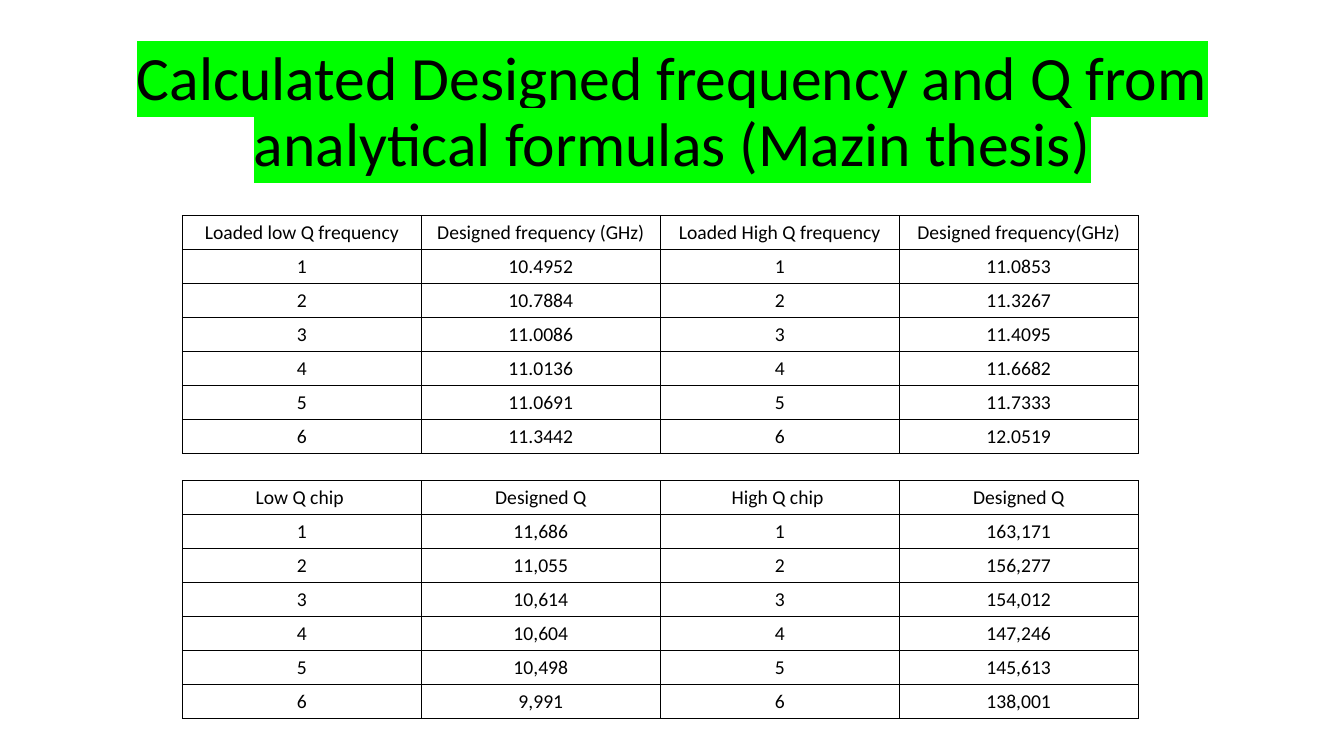
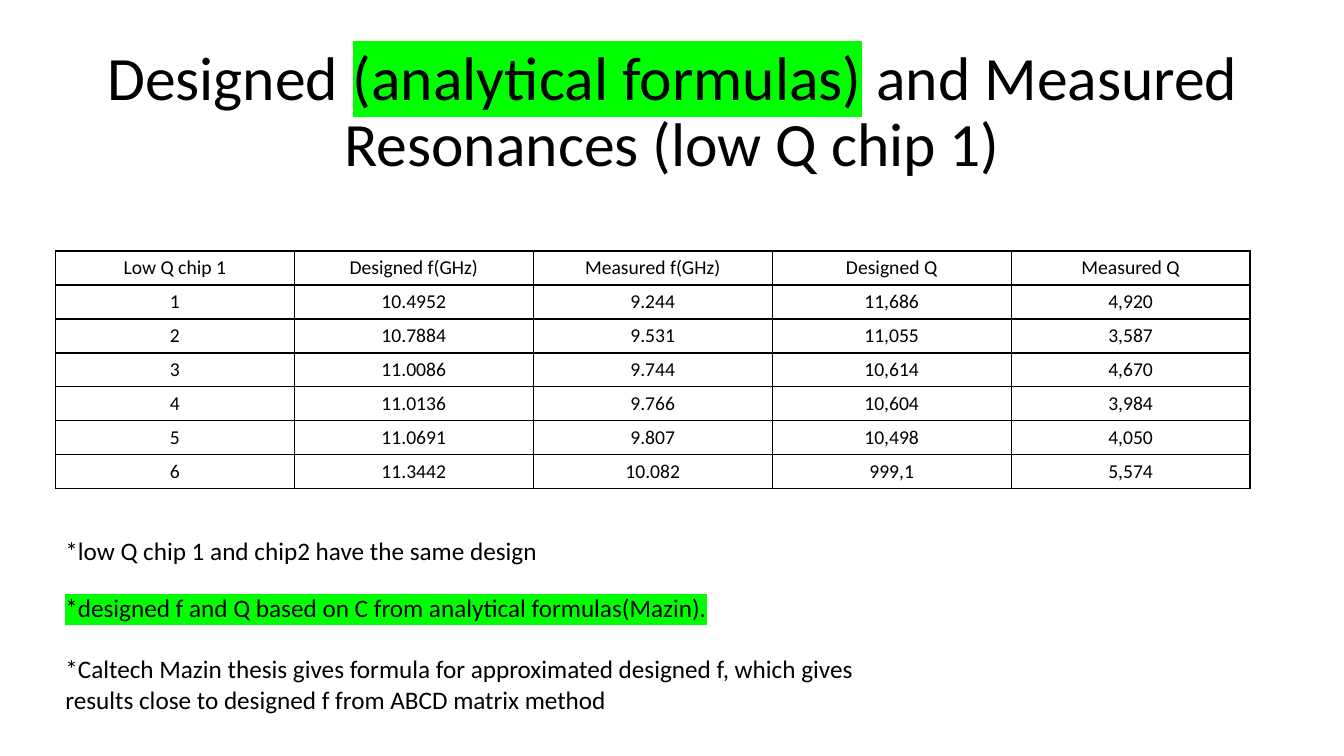
from dataclasses import dataclass

from lxml.etree import SubElement
from pptx import Presentation
from pptx.dml.color import RGBColor
from pptx.enum.text import MSO_ANCHOR, MSO_AUTO_SIZE, PP_ALIGN
from pptx.oxml.ns import qn
from pptx.util import Inches, Pt


@dataclass(frozen=True)
class Theme:
    font: str = "Calibri"
    ink: str = "000000"
    marker: str = "00FF00"
    title_size: int = 44
    note_size: int = 18
    cell_size: int = 14
    border: int = 1
    column: float = 2.37
    row: float = 0.33


THEME = Theme()
TITLE_BOX = (0.92, 0.4, 11.5, 1.45)
CHIPS = ["1", "2", "3", "4", "5", "6"]
LOW_FREQUENCY = ["10.4952", "10.7884", "11.0086", "11.0136", "11.0691", "11.3442"]
HIGH_FREQUENCY = ["11.0853", "11.3267", "11.4095", "11.6682", "11.7333", "12.0519"]
LOW_Q = ["11,686", "11,055", "10,614", "10,604", "10,498", "9,991"]
HIGH_Q = ["163,171", "156,277", "154,012", "147,246", "145,613", "138,001"]
MEASURED_FREQUENCY = ["9.244", "9.531", "9.744", "9.766", "9.807", "10.082"]
MEASURED_Q = ["4,920", "3,587", "4,670", "3,984", "4,050", "5,574"]


def add_run(paragraph, wording, size, marked=False):
    run = paragraph.add_run()
    run.text = wording
    run.font.size = Pt(size)
    run.font.color.rgb = RGBColor.from_string(THEME.ink)
    if marked:
        highlight = SubElement(run.font._element, qn("a:highlight"))
        SubElement(highlight, qn("a:srgbClr"), val=THEME.marker)
    run.font.name = THEME.font


def add_titled_slide(deck, title_runs):
    slide = deck.slides.add_slide(deck.slide_layouts[5])
    title = slide.shapes.title
    title.left, title.top, title.width, title.height = map(Inches, TITLE_BOX)
    frame = title.text_frame
    frame.word_wrap = True
    frame.auto_size = MSO_AUTO_SIZE.NONE
    frame.vertical_anchor = MSO_ANCHOR.MIDDLE
    heading = frame.paragraphs[0]
    heading.alignment = PP_ALIGN.CENTER
    heading.line_spacing = 0.9
    for wording, marked in title_runs:
        add_run(heading, wording, THEME.title_size, marked)
    return slide


def draw_borders(cell):
    properties = cell._tc.get_or_add_tcPr()
    for side in ("lnL", "lnR", "lnT", "lnB"):
        line = SubElement(properties, qn(f"a:{side}"), w=str(Pt(THEME.border)))
        fill = SubElement(line, qn("a:solidFill"))
        SubElement(fill, qn("a:srgbClr"), val=THEME.ink)


def add_results(slide, left, top, columns):
    records = list(zip(*([header, *values] for header, values in columns)))
    width, height = THEME.column * len(columns), THEME.row * len(records)
    results = slide.shapes.add_table(
        len(records), len(columns), *map(Inches, (left, top, width, height))
    ).table
    results.first_row = results.horz_banding = False
    for column in results.columns:
        column.width = Inches(THEME.column)
    for row, record in zip(results.rows, records):
        row.height = Inches(THEME.row)
        for cell, value in zip(row.cells, record):
            draw_borders(cell)
            cell.fill.background()
            entry = cell.text_frame.paragraphs[0]
            entry.alignment = PP_ALIGN.CENTER
            add_run(entry, value, THEME.cell_size)


def add_notes_block(slide, box, lines):
    frame = slide.shapes.add_textbox(*map(Inches, box)).text_frame
    frame.word_wrap = True
    frame.auto_size = MSO_AUTO_SIZE.SHAPE_TO_FIT_TEXT
    for index, (wording, marked, gap) in enumerate(lines):
        note = frame.add_paragraph() if index else frame.paragraphs[0]
        if gap:
            note.space_before = Pt(gap)
        add_run(note, wording, THEME.note_size, marked)


def build_design_slide(deck):
    slide = add_titled_slide(deck, [
        ("Calculated Designed frequency and Q from analytical formulas (Mazin thesis)", True),
    ])
    add_results(slide, 1.81, 4.77, [
        ("Low Q chip ", CHIPS),
        ("Designed Q", LOW_Q),
        ("High Q chip ", CHIPS),
        ("Designed Q", HIGH_Q),
    ])
    add_results(slide, 1.81, 2.14, [
        ("Loaded low Q frequency", CHIPS),
        ("Designed frequency (GHz)", LOW_FREQUENCY),
        ("Loaded High Q frequency", CHIPS),
        ("Designed frequency(GHz)", HIGH_FREQUENCY),
    ])


def build_measurement_slide(deck):
    slide = add_titled_slide(deck, [
        ("Designed ", False),
        ("(analytical formulas)", True),
        (" and Measured Resonances (low Q chip 1)", False),
    ])
    add_results(slide, 0.55, 2.49, [
        ("Low Q chip 1", CHIPS),
        ("Designed f(GHz)", LOW_FREQUENCY),
        ("Measured f(GHz)", MEASURED_FREQUENCY),
        ("Designed Q", LOW_Q[:-1] + ["999,1"]),
        ("Measured Q", MEASURED_Q),
    ])
    add_notes_block(slide, (0.55, 5.26, 6.78, 0.4), [
        ("*low Q chip 1 and chip2 have the same design", False, 0),
    ])
    add_notes_block(slide, (0.55, 5.83, 8.17, 1.31), [
        ("*designed f and Q based on C from analytical formulas(Mazin).", True, 0),
        ("*Caltech Mazin thesis gives formula for approximated designed f, which gives", False, 22),
        ("results close to designed f from ABCD matrix method", False, 0),
    ])


def main():
    deck = Presentation()
    deck.slide_width, deck.slide_height = Inches(13.33), Inches(7.5)
    build_design_slide(deck)
    build_measurement_slide(deck)
    deck.save("out.pptx")


if __name__ == "__main__":
    main()
